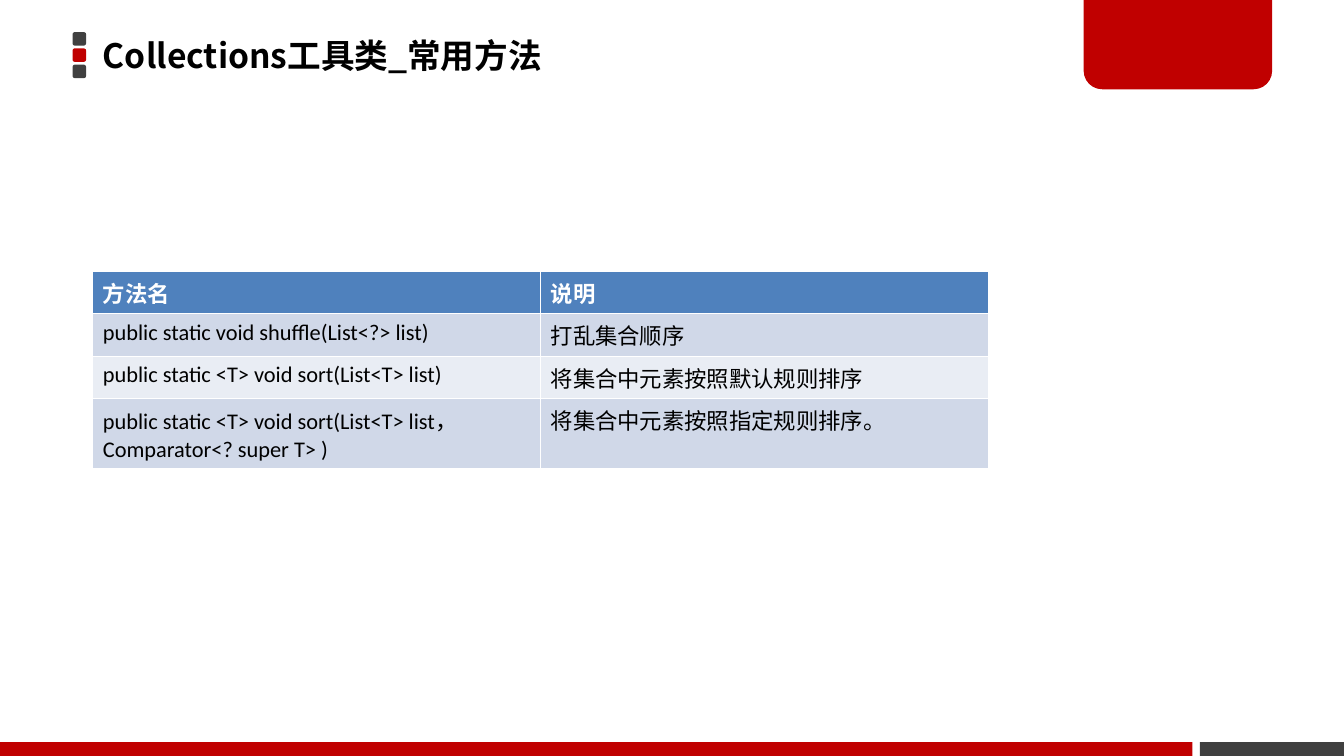
"""Build the slide on common methods of the Collections utility class."""
import pptx
import pptx.dml.color
import pptx.enum.shapes
import pptx.enum.text
import pptx.oxml
import pptx.oxml.ns
import pptx.util
from pptx.util import Cm

RED, GREY, BLACK, WHITE = "C00000", "404040", "000000", "FFFFFF"
HEADER, BAND_DARK, BAND_LIGHT = "4F81BD", "D0D8E8", "E9EDF4"
CJK_FONT = "Noto Sans CJK JP"
PRESETS = pptx.enum.shapes.MSO_SHAPE


def paint(colour_format, colour):
    """Give a fill or font colour a hex value."""
    colour_format.rgb = pptx.dml.color.RGBColor.from_string(colour)


def write(paragraph, text, size, latin, colour, bold):
    """Add one formatted run with Latin and East Asian fonts."""
    run = paragraph.add_run()
    run.text = text
    run.font.size = pptx.util.Pt(size)
    run.font.name = latin
    run.font.bold = bold
    paint(run.font.color, colour)
    east_asian = pptx.oxml.parse_xml(
        f'<a:ea {pptx.oxml.ns.nsdecls("a")} typeface="{CJK_FONT}"/>')
    run.font._element.find(pptx.oxml.ns.qn("a:latin")).addnext(east_asian)


deck = pptx.Presentation()
deck.slide_width, deck.slide_height = Cm(33.87), Cm(19.05)
slide = deck.slides.add_slide(deck.slide_layouts[5])

decorations = [
    (PRESETS.ROUNDED_RECTANGLE, 1.83, 0.81 + 0.41 * i, 0.34, 0.34, colour, [0.167])
    for i, colour in enumerate((GREY, RED, GREY))
] + [
    (PRESETS.RECTANGLE, 30.24, 18.7, 3.63, 0.35, GREY, []),
    (PRESETS.ROUND_2_SAME_RECTANGLE, 27.31, -0.08, 4.75, 2.33, RED, [0, 0.2]),
    (PRESETS.RECTANGLE, 0, 18.7, 30.05, 0.35, RED, []),
]
for preset, left, top, width, height, colour, corners in decorations:
    decoration = slide.shapes.add_shape(
        preset, Cm(left), Cm(top), Cm(width), Cm(height))
    decoration.shadow.inherit = False
    decoration.fill.solid()
    paint(decoration.fill.fore_color, colour)
    decoration.line.fill.background()
    for i, corner in enumerate(corners):
        decoration.adjustments[i] = corner

heading = slide.shapes.title
heading.left, heading.top = Cm(2.34), Cm(0.66)
heading.width, heading.height = Cm(24.36), Cm(1.45)
heading.text_frame.vertical_anchor = pptx.enum.text.MSO_ANCHOR.MIDDLE
heading.text_frame.auto_size = pptx.enum.text.MSO_AUTO_SIZE.NONE
heading_line = heading.text_frame.paragraphs[0]
heading_line.alignment = pptx.enum.text.PP_ALIGN.LEFT
write(heading_line, "Collections工具类_常用方法", 24, CJK_FONT, BLACK, True)

methods = [
    ("方法名", "说明"),
    ("public static void shuffle(List<?> list)", "打乱集合顺序"),
    ("public static <T> void sort(List<T> list)", "将集合中元素按照默认规则排序"),
    ("public static <T> void sort(List<T> list，Comparator<? super T> )",
     "将集合中元素按照指定规则排序。"),
]
row_fills = [HEADER, BAND_DARK, BAND_LIGHT, BAND_DARK]
method_table = slide.shapes.add_table(
    len(methods), 2, Cm(2.34), Cm(6.84), Cm(22.57), Cm(4.16)).table
for row_index, (method, row_fill) in enumerate(zip(methods, row_fills)):
    is_header = row_index == 0
    method_table.rows[row_index].height = Cm(1.04)
    for cell, text in zip(method_table.rows[row_index].cells, method):
        cell.fill.solid()
        paint(cell.fill.fore_color, row_fill)
        write(cell.text_frame.paragraphs[0], text, 16, "Calibri",
              WHITE if is_header else BLACK, is_header)

deck.save("out.pptx")
